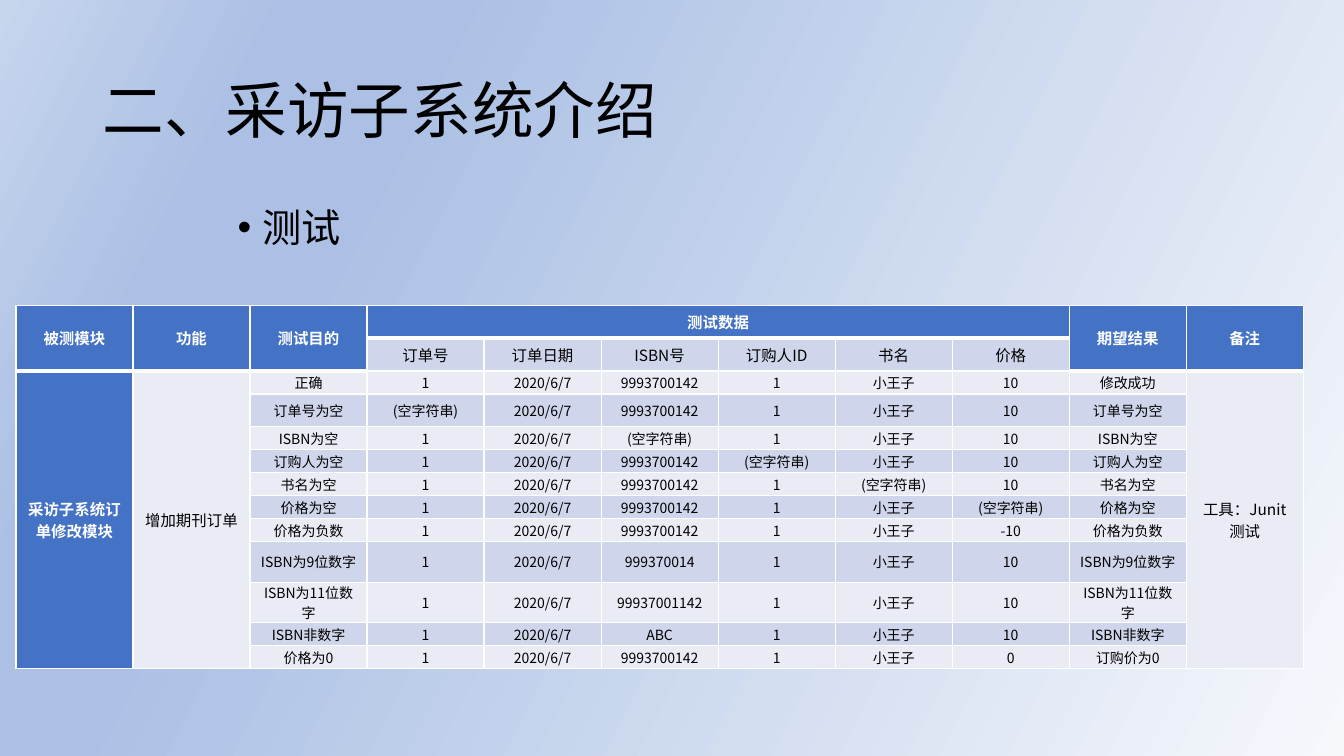
import pptx
import pptx.dml.color
import pptx.enum.text
import pptx.oxml.ns
import pptx.util
import lxml.etree

Pt = pptx.util.Pt
qn = pptx.oxml.ns.qn
ALIGN = pptx.enum.text.PP_ALIGN
ANCHOR = pptx.enum.text.MSO_ANCHOR
FONT = "Noto Sans CJK SC"
BLUE, DARK_BAND, LIGHT_BAND = "4472C4", "CFD5EA", "E9EBF5"


def color(hex_string):
    return pptx.dml.color.RGBColor.from_string(hex_string)


def write(frame, text, size, ink="000000", bold=False, align=ALIGN.LEFT, spacing=1.0):
    """Fill the first paragraph of a text frame and return it."""
    para = frame.paragraphs[0]
    para.alignment = align
    para.line_spacing = spacing
    para.space_before = Pt(0)
    span = para.add_run()
    span.text = text
    span.font.size = Pt(size)
    span.font.bold = bold
    span.font.color.rgb = color(ink)
    span.font.name = FONT
    lxml.etree.SubElement(span.font._element, qn("a:ea"), typeface=FONT)
    return para


deck = pptx.Presentation()
deck.slide_width, deck.slide_height = Pt(960), Pt(540)
page = deck.slides.add_slide(deck.slide_layouts[1])

# Background gradient, running from the lower right to the upper left
page.background.fill.gradient()
gradient = page.element.find(".//" + qn("a:gradFill"))
stops = gradient.find(qn("a:gsLst"))
for stop in list(stops):
    stops.remove(stop)
for percent, shade in [(0, "F6F8FC"), (74, "ABC0E4"), (83, "ABC0E4"), (100, "C7D5ED")]:
    stop = lxml.etree.SubElement(stops, qn("a:gs"), pos=str(percent * 1000))
    lxml.etree.SubElement(stop, qn("a:srgbClr"), val=shade)
direction = gradient.find(qn("a:lin"))
direction.set("ang", str(207 * 60000))
direction.set("scaled", "0")

# Title and bullet
title, body = page.shapes.title, page.placeholders[1]
for box, place in [(title, (66, 28.75, 828, 104.4)), (body, (162.5, 145.3, 397.4, 342.7))]:
    box.left, box.top, box.width, box.height = [Pt(length) for length in place]
    box.text_frame.word_wrap = True
    box.text_frame.auto_size = pptx.enum.text.MSO_AUTO_SIZE.NONE
title.text_frame.vertical_anchor = ANCHOR.MIDDLE
body.text_frame.vertical_anchor = ANCHOR.TOP
write(title.text_frame, "二、采访子系统介绍", 44, spacing=0.9)
bullet = write(body.text_frame, "测试", 28, spacing=0.9)
bullet_format = bullet._p.get_or_add_pPr()
bullet_format.set("marL", str(Pt(18)))
bullet_format.set("indent", str(Pt(-18)))
lxml.etree.SubElement(bullet_format, qn("a:buFont"), typeface="Arial")
lxml.etree.SubElement(bullet_format, qn("a:buChar"), char="•")

# Test cases: purpose, the inputs that differ from a valid order, expected result
fields = ["订单号", "订单日期", "ISBN号", "订购人ID", "书名", "价格"]
valid_order = dict(zip(fields, ["1", "2020/6/7", "9993700142", "1", "小王子", "10"]))
EMPTY = "(空字符串)"
cases = [
    ("正确", {}, "修改成功"),
    ("订单号为空", {"订单号": EMPTY}, "订单号为空"),
    ("ISBN为空", {"ISBN号": EMPTY}, "ISBN为空"),
    ("订购人为空", {"订购人ID": EMPTY}, "订购人为空"),
    ("书名为空", {"书名": EMPTY}, "书名为空"),
    ("价格为空", {"价格": EMPTY}, "价格为空"),
    ("价格为负数", {"价格": "-10"}, "价格为负数"),
    ("ISBN为9位数字", {"ISBN号": "999370014"}, "ISBN为9位数字"),
    ("ISBN为11位数字", {"ISBN号": "99937001142"}, "ISBN为11位数字"),
    ("ISBN非数字", {"ISBN号": "ABC"}, "ISBN非数字"),
    ("价格为0", {"价格": "0"}, "订购价为0"),
]
rows = [
    ["被测模块", "功能", "测试目的", "测试数据", "", "", "", "", "", "期望结果", "备注"],
    ["", "", "", *fields, "", ""],
]
for purpose, changes, expected in cases:
    rows.append(["", "", purpose, *{**valid_order, **changes}.values(), expected, ""])
rows[2][0], rows[2][1], rows[2][10] = "采访子系统订单修改模块", "增加期刊订单", "工具：Junit测试"

heights = [23.5, 23.5, 16.4, 23.5] + [16.4] * 5 + [29, 29] + [16.4] * 2
heights[4:] = [16.4] * 5 + [29, 29] + [16.4] * 2
column_width = 83.6
grid = page.shapes.add_table(
    len(rows), 11, Pt(11.4), Pt(218), Pt(column_width * 11), Pt(sum(heights))
).table
for column in grid.columns:
    column.width = Pt(column_width)
for row, height in zip(grid.rows, heights):
    row.height = Pt(height)

outer_columns = (0, 1, 2, 9, 10)
tall_columns = (0, 1, 10)
for c in outer_columns:
    grid.cell(0, c).merge(grid.cell(1, c))
for c in tall_columns:
    grid.cell(2, c).merge(grid.cell(len(rows) - 1, c))
grid.cell(0, 3).merge(grid.cell(0, 8))

header_cells = {(0, c) for c in range(11)} | {(1, c) for c in outer_columns}
for r, texts in enumerate(rows):
    for c, text in enumerate(texts):
        cell = grid.cell(r, c)
        is_header = (r, c) in header_cells
        is_tall = r > 1 and c in tall_columns
        is_blue = is_header or (r > 1 and c == 0)
        roomy = is_header or is_tall

        cell.vertical_anchor = ANCHOR.MIDDLE
        cell.margin_left = cell.margin_right = Pt(7.9 if roomy else 5.8)
        cell.margin_top = cell.margin_bottom = Pt(3.6 if roomy and text else 0)
        top = 3 if (r - 1, c) in header_cells else 1
        edges = {"lnL": 1, "lnR": 1, "lnT": top, "lnB": 3 if is_header else 1}
        for edge, width in edges.items():
            line = lxml.etree.SubElement(
                cell._tc.get_or_add_tcPr(), qn("a:" + edge), w=str(Pt(width)))
            paint = lxml.etree.SubElement(line, qn("a:solidFill"))
            lxml.etree.SubElement(paint, qn("a:srgbClr"), val="FFFFFF")

        band = LIGHT_BAND if is_tall or r % 2 == 0 else DARK_BAND
        cell.fill.solid()
        cell.fill.fore_color.rgb = color(BLUE if is_blue else band)
        if text:
            write(cell.text_frame, text, 11 if roomy or r == 1 else 10,
                  ink="FFFFFF" if is_blue else "000000", bold=is_blue, align=ALIGN.CENTER)

deck.save("out.pptx")
